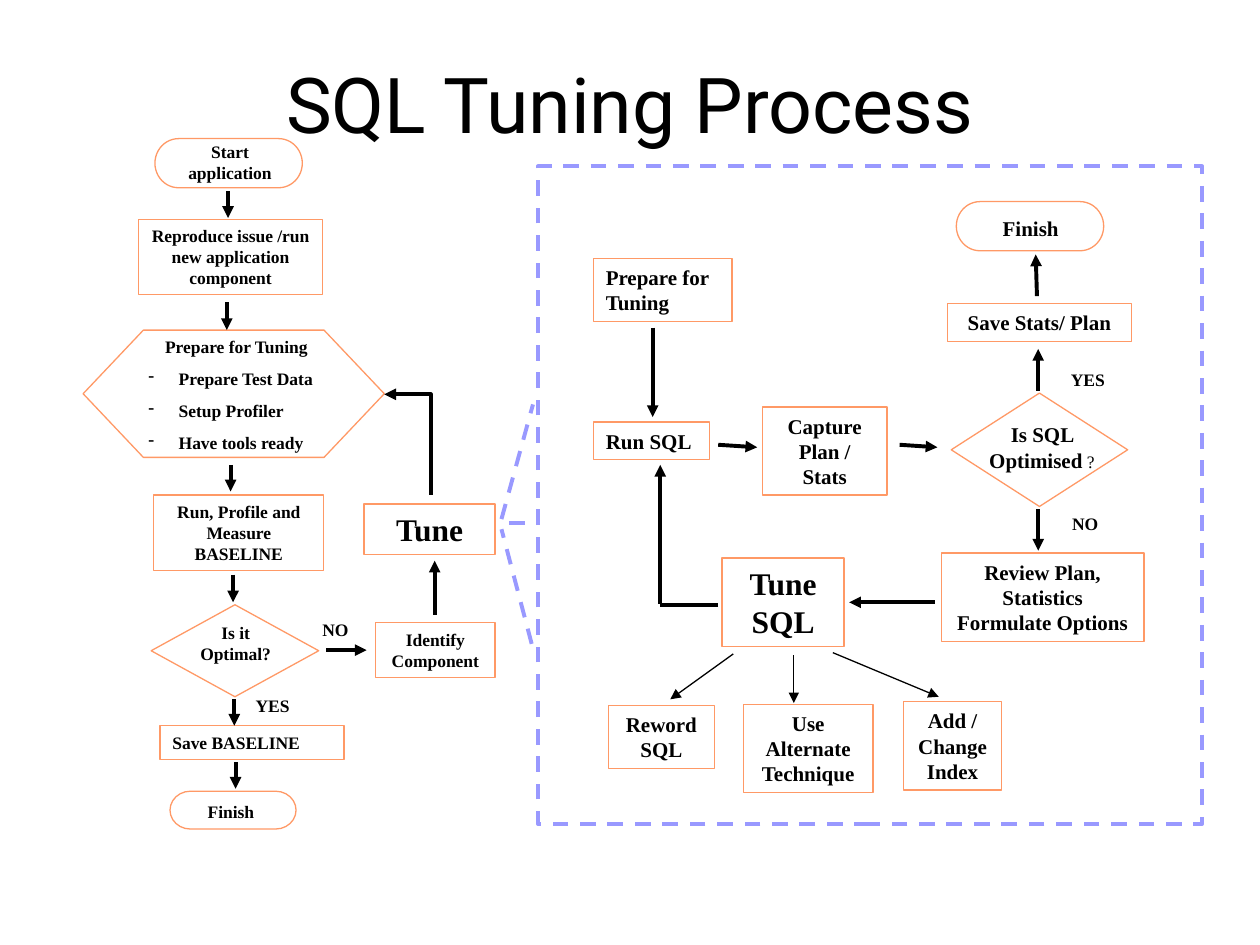
import lxml.etree
import pptx
import pptx.util
import pptx.dml.color
import pptx.enum.dml
import pptx.enum.shapes
import pptx.enum.text
import pptx.oxml.ns

Inches, Pt = pptx.util.Inches, pptx.util.Pt
RGB = pptx.dml.color.RGBColor.from_string
KIND = pptx.enum.shapes.MSO_SHAPE
LINK = pptx.enum.shapes.MSO_CONNECTOR
DASH = pptx.enum.dml.MSO_LINE.DASH
LEFT, MID = pptx.enum.text.PP_ALIGN.LEFT, pptx.enum.text.PP_ALIGN.CENTER
qn = pptx.oxml.ns.qn
SERIF = "Times New Roman"
COLORS = {"ink": "000000", "edge": "FF9966", "zone": "9999FF"}


def write(para, text, size=10, align=MID, font=SERIF, bold=True):
    para.alignment = align
    run = para.add_run()
    run.text = text
    run.font.name, run.font.size, run.font.bold = font, Pt(size), bold
    run.font.color.rgb = RGB(COLORS["ink"])


def link(start, end, color="ink", width=2.25, dash=None, end_tag="tailEnd", bent=False):
    """Join two points; end_tag names the end with an arrowhead, None for a plain line."""
    kind = LINK.ELBOW if bent else LINK.STRAIGHT
    line = shapes.add_connector(kind, *[Inches(v) for v in start + end])
    line.line.color.rgb = RGB(COLORS[color])
    line.line.width = Pt(width)
    if dash:
        line.line.dash_style = dash
    props = line.element.spPr
    if bent:
        props.find(qn("a:prstGeom")).set("prst", "bentConnector2")
    if end_tag:
        lxml.etree.SubElement(props.find(qn("a:ln")), qn("a:" + end_tag), type="triangle")
    lxml.etree.SubElement(props, qn("a:effectLst"))


deck = pptx.Presentation()
deck.slide_width, deck.slide_height = Inches(10), Inches(7.5)
slide = deck.slides.add_slide(deck.slide_layouts[5])
shapes = slide.shapes

title = shapes.title
title.left, title.top = Inches(0.75), Inches(0.19)
title.width, title.height = Inches(8.5), Inches(1.25)
write(title.text_frame.paragraphs[0], "SQL Tuning Process", size=44, font="Roboto", bold=False)

# Outlines that stand behind separate text, and the dashed detail area
frames = [
    (KIND.FLOWCHART_TERMINATOR, (1.23, 1.1, 1.17, 0.39), "edge"),
    (KIND.FLOWCHART_PREPARATION, (0.66, 2.62, 2.39, 1.01), "edge"),
    (KIND.FLOWCHART_DECISION, (1.2, 4.8, 1.33, 0.73), "edge"),
    (KIND.FLOWCHART_TERMINATOR, (1.35, 6.28, 1, 0.3), "edge"),
    (KIND.FLOWCHART_DECISION, (7.55, 3.12, 1.4, 0.9), "edge"),
    (KIND.FLOWCHART_TERMINATOR, (7.59, 1.6, 1.17, 0.39), "edge"),
    (KIND.RECTANGLE, (4.27, 1.32, 5.27, 5.22), "zone"),
]
for kind, spot, color in frames:
    frame = shapes.add_shape(kind, *[Inches(v) for v in spot])
    frame.shadow.inherit = False
    frame.fill.background()
    frame.line.color.rgb = RGB(COLORS[color])
    frame.line.width = Pt(0.75)
    if color == "zone":
        frame.line.width = Pt(2.25)
        frame.line.dash_style = DASH

# Step boxes: text, place, size, alignment
steps = [
    ("Reproduce issue /run new application component", (1.1, 1.74, 1.46, 0.6), 10, MID),
    ("Run, Profile and Measure BASELINE", (1.22, 3.93, 1.35, 0.6), 10, MID),
    ("Identify Component", (2.98, 4.94, 0.95, 0.44), 10, MID),
    ("Save BASELINE", (1.27, 5.76, 1.46, 0.27), 10, LEFT),
    ("Tune", (2.89, 4, 1.04, 0.4), 18, MID),
    ("Tune SQL", (5.73, 4.43, 0.97, 0.7), 18, MID),
    ("Prepare for Tuning", (4.71, 2.05, 1.1, 0.5), 12, LEFT),
    ("Run SQL", (4.71, 3.35, 0.92, 0.3), 12, LEFT),
    ("Capture Plan / Stats", (6.05, 3.23, 0.99, 0.7), 12, MID),
    ("Save Stats/ Plan", (7.52, 2.41, 1.46, 0.3), 12, MID),
    ("Review Plan, Statistics Formulate Options", (7.47, 4.39, 1.61, 0.7), 12, MID),
    ("Reword SQL", (4.83, 5.6, 0.84, 0.5), 12, MID),
    ("Use Alternate Technique", (5.9, 5.59, 1.03, 0.7), 12, MID),
    ("Add / Change Index", (7.17, 5.57, 0.78, 0.7), 12, MID),
]
for text, spot, size, align in steps:
    step = shapes.add_shape(KIND.RECTANGLE, *[Inches(v) for v in spot])
    step.shadow.inherit = False
    step.fill.background()
    step.line.color.rgb = RGB(COLORS["edge"])
    step.line.width = Pt(0.75)
    step.text_frame.word_wrap = True
    step.text_frame.vertical_anchor = pptx.enum.text.MSO_ANCHOR.TOP
    write(step.text_frame.paragraphs[0], text, size=size, align=align)

# Free text: labels and the words inside the rounded and pointed outlines
labels = [
    ("Start application", (1.37, 1.07, 0.91, 0.44), 10, MID),
    ("Prepare for Tuning", (1.08, 2.62, 1.59, 1.28), 10, MID),
    ("Is it Optimal?", (1.38, 4.89, 0.98, 0.44), 10, MID),
    ("Finish", (1.55, 6.31, 0.67, 0.27), 10, LEFT),
    ("YES", (1.93, 5.47, 0.59, 0.27), 10, LEFT),
    ("NO", (2.46, 4.86, 0.59, 0.27), 10, LEFT),
    ("Is SQL Optimised", (7.74, 3.3, 1.06, 0.5), 12, MID),
    ("Finish", (7.79, 1.66, 0.78, 0.3), 12, MID),
    ("YES", (8.4, 2.88, 0.48, 0.27), 10, LEFT),
    ("NO", (8.41, 4.02, 0.48, 0.27), 10, LEFT),
]
for text, spot, size, align in labels:
    body = shapes.add_textbox(*[Inches(v) for v in spot]).text_frame
    body.word_wrap = True
    write(body.paragraphs[0], text, size=size, align=align)
    if text == "Is SQL Optimised":
        write(body.paragraphs[0], " ?", bold=False)
    if text == "Prepare for Tuning":
        for item in ["Prepare Test Data", "Setup Profiler", "Have tools ready"]:
            para = body.add_paragraph()
            props = para._p.get_or_add_pPr()
            props.set("marL", str(Inches(0.24)))
            props.set("indent", str(-Inches(0.24)))
            lxml.etree.SubElement(props, qn("a:buChar"), char="-")
            para.space_before = Pt(6.25)
            write(para, item, align=LEFT)

# Main flow and detail flow arrows
arrows = [
    ((1.81, 1.52), (1.81, 1.73)), ((1.8, 2.4), (1.8, 2.62)),
    ((1.83, 3.69), (1.83, 3.9)), ((1.85, 4.56), (1.85, 4.78)),
    ((1.86, 5.55), (1.86, 5.76)), ((1.87, 6.05), (1.87, 6.26)),
    ((2.59, 5.16), (2.91, 5.16)), ((3.45, 4.88), (3.45, 4.45)),
    ((5.18, 2.6), (5.18, 3.31)), ((5.7, 3.53), (6.01, 3.55)),
    ((7.14, 3.53), (7.44, 3.55)), ((8.24, 3.1), (8.24, 2.77)),
    ((8.23, 2.35), (8.22, 2.02)), ((8.24, 4.04), (8.24, 4.37)),
    ((7.42, 4.78), (6.74, 4.78)), ((5.24, 4.79), (5.24, 3.69)),
]
for start, end in arrows:
    link(start, end)
link((5.7, 4.8), (5.24, 4.8), end_tag=None)
link((3.05, 3.13), (3.42, 3.93), end_tag="headEnd", bent=True)

for start, end in [((5.82, 5.19), (5.32, 5.55)), ((6.3, 5.2), (6.3, 5.58)), ((6.61, 5.18), (7.45, 5.53))]:
    link(start, end, width=0.75)

for start, end in [((3.98, 4.12), (4.23, 3.21)), ((4.22, 5.11), (3.98, 4.2)), ((4.04, 4.15), (4.26, 4.15))]:
    link(start, end, color="zone", dash=DASH, end_tag=None)

deck.save("out.pptx")
